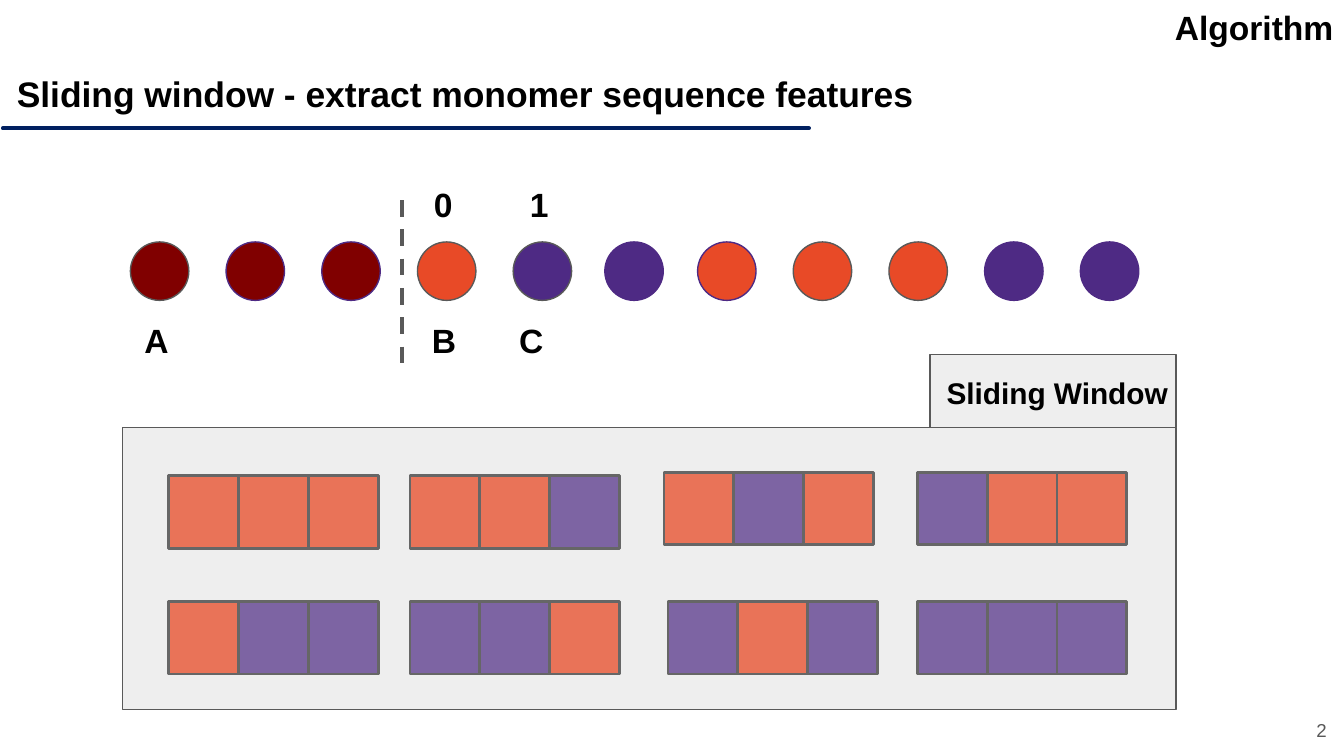
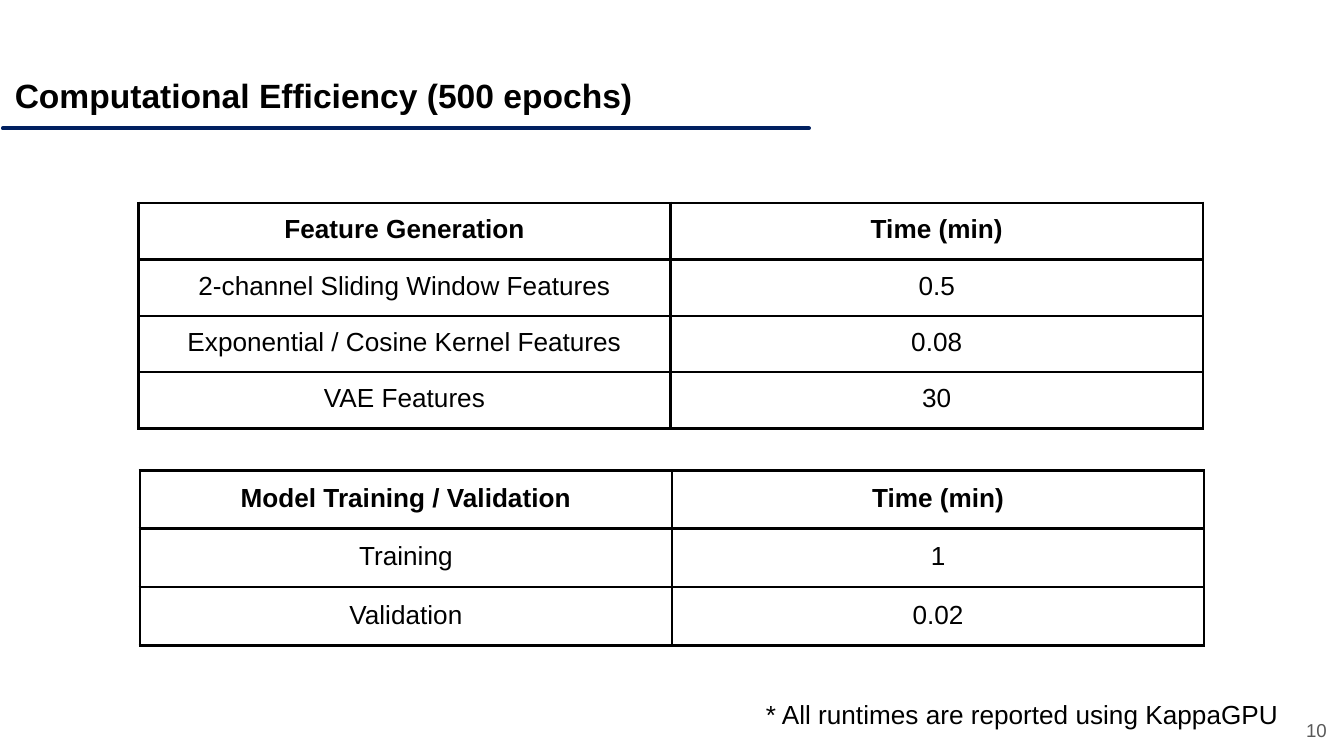
from dataclasses import dataclass
from lxml import etree
from pptx import Presentation
from pptx.dml.color import RGBColor
from pptx.enum.dml import MSO_LINE
from pptx.enum.shapes import MSO_CONNECTOR, MSO_SHAPE
from pptx.enum.text import MSO_ANCHOR, MSO_AUTO_SIZE, PP_ALIGN
from pptx.oxml.ns import qn
from pptx.util import Inches, Pt

LEFT, CENTER, RIGHT = PP_ALIGN.LEFT, PP_ALIGN.CENTER, PP_ALIGN.RIGHT
TOP, MIDDLE = MSO_ANCHOR.TOP, MSO_ANCHOR.MIDDLE
NO_FIT, DASH = MSO_AUTO_SIZE.NONE, MSO_LINE.DASH
RECT, OVAL = MSO_SHAPE.RECTANGLE, MSO_SHAPE.OVAL
STRAIGHT = MSO_CONNECTOR.STRAIGHT
TITLE_ONLY = 5
COLS, ROWS = 100, 56.25
CELL = Inches(10) / COLS


@dataclass(frozen=True)
class Theme:
    """Colours, font and type sizes of the deck."""
    font: str = "Arial"
    ink: str = "000000"
    navy: str = "002060"
    grey: str = "595959"
    tile_edge: str = "666666"
    panel: str = "EEEEEE"
    maroon: str = "800000"
    orange: str = "E84A27"
    purple: str = "4E2A84"
    heading: int = 18
    tab: int = 16
    body: int = 14
    number: int = 10


@dataclass(frozen=True)
class Box:
    """A rectangle measured in grid columns and rows."""
    x: float
    y: float
    w: float
    h: float

    def sub(self, dx, dy, w, h):
        """Return a box offset from this box's top left corner."""
        return Box(self.x + dx, self.y + dy, w, h)

    def emu(self):
        """Return left, top, width and height in EMU."""
        return [round(v * CELL) for v in (self.x, self.y, self.w, self.h)]


T = Theme()
MONOMER = {"A": T.maroon, "B": T.orange, "C": T.purple}
TILE_ALPHA = {"B": 75, "C": 70}
RIM = {"g": T.grey, "p": T.purple}
BEADS = (
    (0, "AAABC", "gppgg"),
    (35.3, "C", "p"),
    (42.2, "BBBCC", "pggpp"),
)
BEAD, BEAD_PITCH = 4.35, 7.12
BEAD_LABELS = (
    ("A", 0.05, 10.1), ("B", 21.45, 10.1), ("C", 27.95, 10.1),
    ("0", 21.6, 0), ("1", 28.75, 0),
)
WINDOWS = (
    ("BBB", 3.45, 3.6), ("BBC", 21.4, 3.6), ("BCB", 40.3, 3.35), ("CBB", 59.15, 3.35),
    ("BCC", 3.45, 12.95), ("CCB", 21.4, 12.95), ("CBC", 40.6, 12.95),
    ("CCC", 59.15, 12.95),
)
TILE_W, TILE_H = 5.2, 5.4
FEATURE_ROWS = (
    ("Feature Generation", "Time (min)"),
    ("2-channel Sliding Window Features", "0.5"),
    ("Exponential / Cosine Kernel Features", "0.08"),
    ("VAE Features", "30"),
)
MODEL_ROWS = (
    ("Model Training / Validation", "Time (min)"),
    ("Training", "1"),
    ("Validation", "0.02"),
)


def rgb(color):
    """Turn a hex string into a colour."""
    return RGBColor.from_string(color)


def write(tf, text, size=T.heading, color=T.ink, bold=False, align=LEFT,
          anchor=TOP, pad=1, wrap=True):
    """Write one formatted paragraph into a text frame."""
    tf.word_wrap = wrap
    tf.vertical_anchor = anchor
    tf.margin_left = tf.margin_right = Inches(0.1)
    tf.margin_top = tf.margin_bottom = round(pad * CELL)
    p = tf.paragraphs[0]
    p.alignment = align
    r = p.add_run()
    r.text = text
    r.font.name, r.font.size, r.font.bold = T.font, Pt(size), bold
    r.font.color.rgb = rgb(color)


def label(shapes, box, text, **style):
    """Add a text box."""
    write(shapes.add_textbox(*box.emu()).text_frame, text, **style)


def block(shapes, kind, box, fill, edge, width=0.75, alpha=None):
    """Add a filled and outlined shape, with an optional opacity in percent."""
    sp = shapes.add_shape(kind, *box.emu())
    sp.shadow.inherit = False
    sp.fill.solid()
    sp.fill.fore_color.rgb = rgb(fill)
    sp.line.color.rgb = rgb(edge)
    sp.line.width = Pt(width)
    if alpha:
        clr = sp._element.spPr.find(qn("a:solidFill"))[0]
        etree.SubElement(clr, qn("a:alpha"), val=str(alpha * 1000))


def divider(shapes, box):
    """Draw a dashed line down the left side of a box."""
    x, y, _, h = box.emu()
    line = shapes.add_connector(STRAIGHT, x, y, x, y + h)
    line.line.color.rgb = rgb(T.grey)
    line.line.width = Pt(2.25)
    line.line.dash_style = DASH
    etree.SubElement(line._element.spPr, qn("a:effectLst"))


def new_slide(prs, title, number, box, size=T.heading):
    """Add a slide with its title, title rule and page number."""
    s = prs.slides.add_slide(prs.slide_layouts[TITLE_ONLY])
    sp = s.shapes.title
    sp.left, sp.top, sp.width, sp.height = box.emu()
    sp.text_frame.auto_size = NO_FIT
    write(sp.text_frame, title, size=size, bold=True)
    block(s.shapes, RECT, Box(0.2, 9.55, 60, 0), T.navy, T.navy, 2)
    label(s.shapes, Box(95.3, 52.35, 4.4, 4), number, size=T.number,
          color=T.grey, align=RIGHT, anchor=MIDDLE)
    return s


def bead_chain(shapes, box):
    """Draw the monomer chain, its labels and the dashed divider."""
    for start, kinds, rims in BEADS:
        for i, (kind, rim) in enumerate(zip(kinds, rims)):
            spot = box.sub(start + i * BEAD_PITCH, 5.3, BEAD, BEAD)
            block(shapes, OVAL, spot, MONOMER[kind], RIM[rim])
    for text, dx, dy in BEAD_LABELS:
        label(shapes, box.sub(dx, dy, BEAD, 5), text, bold=True)
    divider(shapes, box.sub(20.2, 2.2, 0, 13))


def window_panel(shapes, box):
    """Draw the tabbed panel with its eight three-tile windows."""
    block(shapes, RECT, box, T.panel, T.grey)
    tab_w, tab_h = 18.3, 5.4
    tab = box.sub(box.w - tab_w, -tab_h, tab_w, tab_h)
    block(shapes, RECT, tab, T.panel, T.grey)
    label(shapes, tab.sub(0.25, 0.45, 21.5, 4.7), "Sliding Window",
          size=T.tab, bold=True)
    for kinds, dx, dy in WINDOWS:
        for i, kind in enumerate(kinds):
            spot = box.sub(dx + i * TILE_W, dy, TILE_W, TILE_H)
            block(shapes, RECT, spot, MONOMER[kind], T.tile_edge, 1.5,
                  TILE_ALPHA[kind])


def border(cell):
    """Give a cell a solid outline on all four sides."""
    tcPr = cell._tc.get_or_add_tcPr()
    for i, side in enumerate(("lnL", "lnR", "lnT", "lnB")):
        ln = etree.Element(qn(f"a:{side}"), w=str(Pt(1.5)))
        fill = etree.SubElement(ln, qn("a:solidFill"))
        etree.SubElement(fill, qn("a:srgbClr"), val=T.ink)
        tcPr.insert(i, ln)


def time_table(s, box, rows, pad=1):
    """Add a runtime table with a bold first row."""
    table = s.shapes.add_table(len(rows), len(rows[0]), *box.emu()).table
    table.first_row = table.horz_banding = False
    for i, row in enumerate(rows):
        for j, text in enumerate(row):
            cell = table.cell(i, j)
            cell.fill.background()
            border(cell)
            write(cell.text_frame, text, size=T.body, bold=i == 0, align=CENTER)
            cell.margin_left = cell.margin_right = Inches(0.1)
            cell.margin_top = cell.margin_bottom = round(pad * CELL)


def algorithm_slide(prs):
    """Build the sliding window slide."""
    s = new_slide(prs, "Sliding window - extract monomer sequence features",
                  "2", Box(0.25, 4.35, 102.1, 5.2), size=T.heading + 1)
    label(s.shapes, Box(75.4, 0, 24.8, 3.6), "Algorithm", bold=True,
          align=RIGHT, pad=0.5)
    bead_chain(s.shapes, Box(9.7, 12.7, 75, 15.1))
    window_panel(s.shapes.add_group_shape().shapes, Box(9.1, 31.8, 78.4, 21))


def efficiency_slide(prs):
    """Build the runtime tables slide."""
    s = new_slide(prs, "Computational Efficiency (500 epochs)", "10",
                  Box(0.1, 4.6, 102.1, 5))
    time_table(s, Box(10.3, 15.1, 79.2, 16.8), FEATURE_ROWS, pad=0.9)
    time_table(s, Box(10.4, 35, 79.2, 13), MODEL_ROWS)
    label(s.shapes, Box(56, 51, 57.5, 4.4),
          "* All runtimes are reported using KappaGPU", size=T.body)


def main():
    """Build and save the deck."""
    prs = Presentation()
    prs.slide_width, prs.slide_height = round(COLS * CELL), round(ROWS * CELL)
    algorithm_slide(prs)
    efficiency_slide(prs)
    prs.save("out.pptx")


if __name__ == "__main__":
    main()
